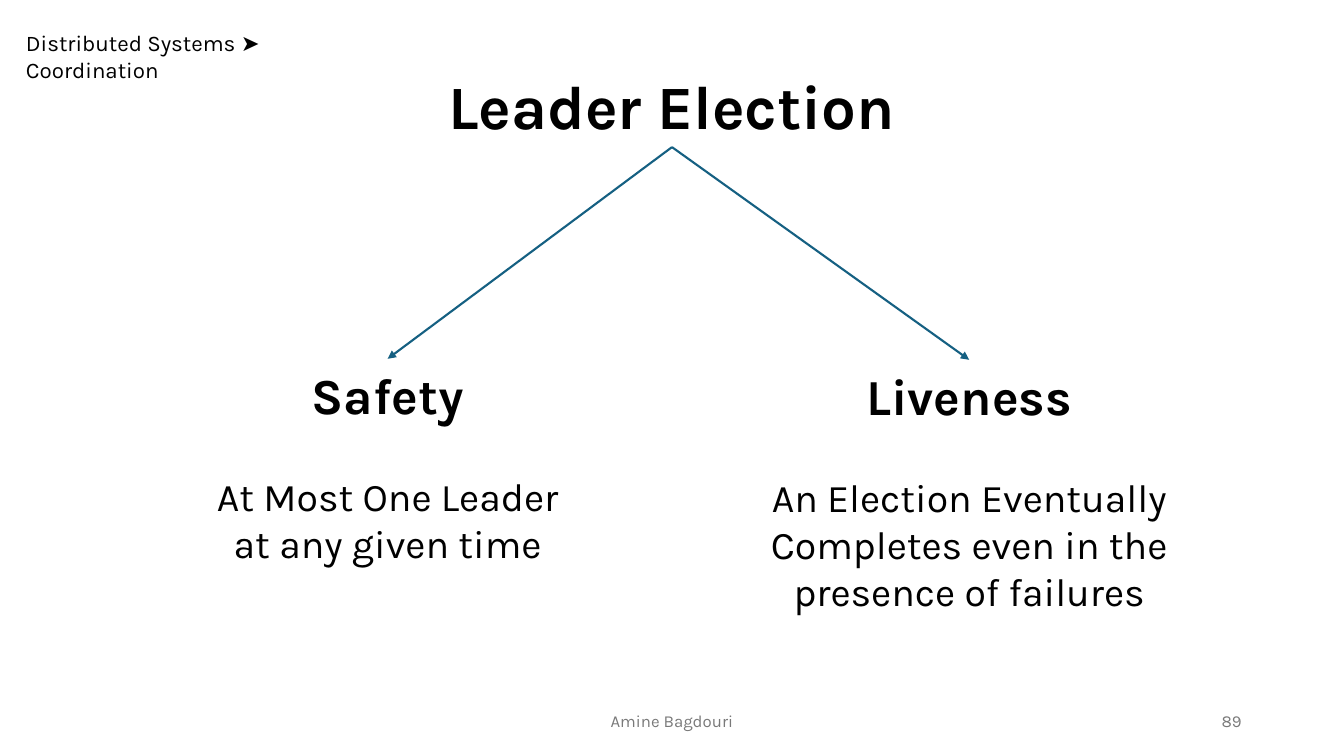
from lxml import etree
from pptx import Presentation
from pptx.dml.color import RGBColor
from pptx.enum.shapes import MSO_CONNECTOR
from pptx.enum.text import MSO_ANCHOR, MSO_AUTO_SIZE, PP_ALIGN
from pptx.oxml.ns import qn
from pptx.util import Pt

STRAIGHT = MSO_CONNECTOR.STRAIGHT
TOP, MIDDLE = MSO_ANCHOR.TOP, MSO_ANCHOR.MIDDLE
LEFT, CENTER, RIGHT = PP_ALIGN.LEFT, PP_ALIGN.CENTER, PP_ALIGN.RIGHT
GROW, FIXED = MSO_AUTO_SIZE.SHAPE_TO_FIT_TEXT, MSO_AUTO_SIZE.NONE
TOP_SIDE, BOTTOM_SIDE = 0, 2

FONT = "Karla"
COLORS = {"text": "000000", "footer": "797979", "arrow": "156082"}
SLIDE_SIZE = (960, 540)

TITLE = "Leader Election"
TITLE_BOX = (0, 44.6, 960, 60.5)

# text, box (left, top, width, height), size, color, alignment, anchor, auto size
LABELS = [
    ("Distributed Systems ➤ Coordination", (11.5, 17.3, 269.3, 26.6),
     16, "text", LEFT, TOP, GROW),
    ("Amine Bagdouri", (318, 500.5, 324, 28.8),
     12, "footer", CENTER, MIDDLE, FIXED),
    ("89", (678, 500.5, 216, 28.8),
     12, "footer", RIGHT, MIDDLE, FIXED),
]

# heading, explanation, box
PROPERTIES = [
    ("Safety", "At Most One Leader at any given time",
     (146.9, 256.3, 260, 152.6)),
    ("Liveness", "An Election Eventually Completes even in the presence of failures",
     (535, 257, 314.6, 186.5)),
]
EXPLANATION_GAP = 34


def place(shape, box):
    for side, length in zip(("left", "top", "width", "height"), box):
        setattr(shape, side, Pt(length))


def set_frame(shape, anchor=TOP, auto_size=GROW):
    frame = shape.text_frame
    settings = {"word_wrap": True, "auto_size": auto_size, "vertical_anchor": anchor}
    for name, value in settings.items():
        setattr(frame, name, value)
    return frame


def write(paragraph, text, size, color="text", bold=False, align=CENTER):
    paragraph.alignment = align
    run = paragraph.add_run()
    run.text = text
    for name, value in {"name": FONT, "size": Pt(size), "bold": bold}.items():
        setattr(run.font, name, value)
    run.font.color.rgb = RGBColor.from_string(COLORS[color])


def add_box(slide, box):
    return slide.shapes.add_textbox(*map(Pt, box))


def add_arrow(slide, source, target):
    """Join the bottom of source to the top of target with an arrow."""
    arrow = slide.shapes.add_connector(STRAIGHT, 0, 0, 0, 0)
    arrow.begin_connect(source, BOTTOM_SIDE)
    arrow.end_connect(target, TOP_SIDE)
    arrow.line.color.rgb = RGBColor.from_string(COLORS["arrow"])
    arrow.line.width = Pt(1.5)
    etree.SubElement(arrow.line._get_or_add_ln(), qn("a:tailEnd"), type="triangle")
    etree.SubElement(arrow._element.spPr, qn("a:effectLst"))


def main():
    deck = Presentation()
    deck.slide_width, deck.slide_height = map(Pt, SLIDE_SIZE)
    slide = deck.slides.add_slide(deck.slide_layouts[5])

    title = slide.shapes.title
    place(title, TITLE_BOX)
    write(set_frame(title).paragraphs[0], TITLE, 44, bold=True)

    for text, box, size, color, align, anchor, auto_size in LABELS:
        frame = set_frame(add_box(slide, box), anchor, auto_size)
        write(frame.paragraphs[0], text, size, color, align=align)

    columns = []
    for heading, explanation, box in PROPERTIES:
        column = add_box(slide, box)
        frame = set_frame(column)
        write(frame.paragraphs[0], heading, 36, bold=True)
        detail = frame.add_paragraph()
        detail.space_before = Pt(EXPLANATION_GAP)
        write(detail, explanation, 28)
        columns.append(column)

    for column in columns:
        add_arrow(slide, title, column)

    deck.save("out.pptx")


if __name__ == "__main__":
    main()
